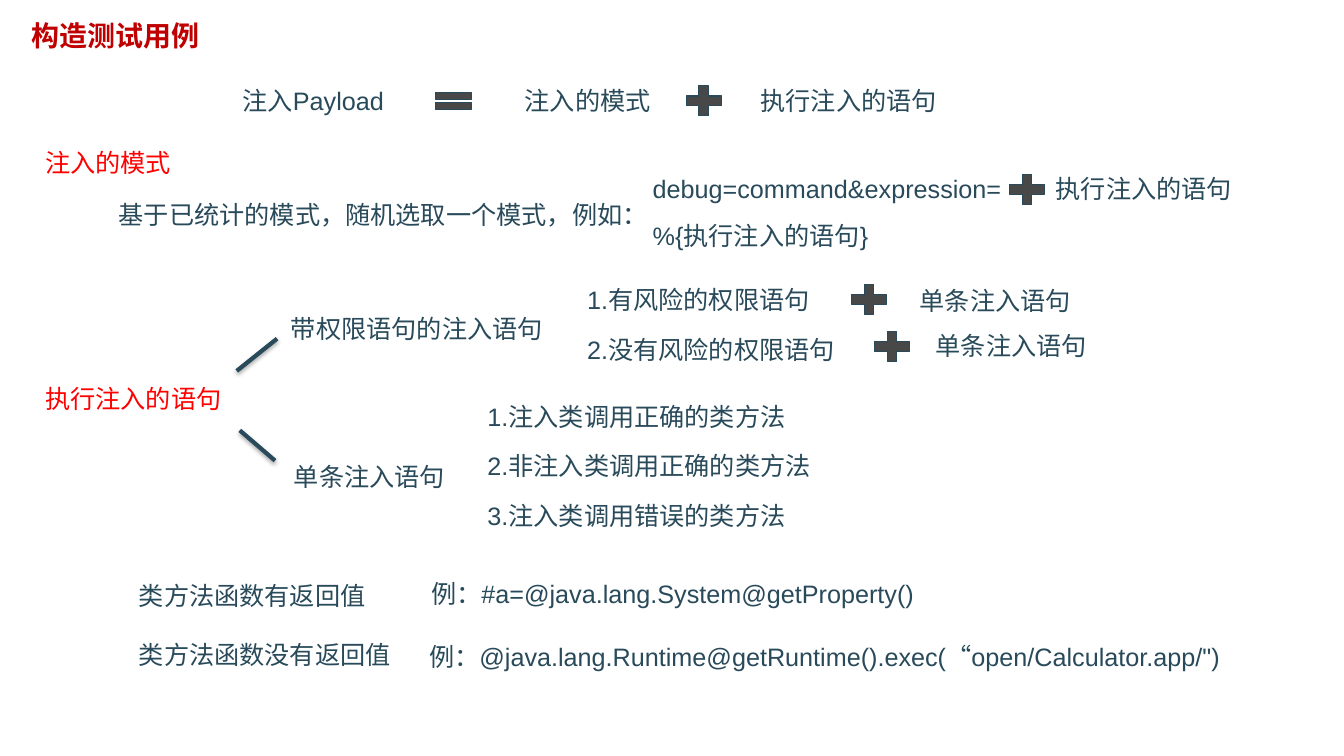
import pptx
import pptx.util
import pptx.dml.color
import pptx.enum.shapes
import pptx.enum.text
import pptx.oxml
import pptx.oxml.ns
from dataclasses import dataclass

SHAPE = pptx.enum.shapes.MSO_SHAPE


@dataclass(frozen=True)
class Theme:
    title: str = "C00000"
    heading: str = "FF0000"
    ink: str = "294A5A"
    sign: str = "484849"
    title_font: str = "Cambria"
    body_font: str = "Arial"
    title_size: int = 20
    body_size: int = 18
    outline: float = 0.75
    branch: int = 3


T = Theme()
CELL = 0.1  # grid cell in inches; all positions are columns and rows
COLS, ROWS = 133.4, 75
LINE_H = 4  # rows taken by one line of body text
INJECT_MODE = "注入的模式"
EXEC_STATEMENT = "执行注入的语句"
SINGLE_STATEMENT = "单条注入语句"


def grid(n):
    return pptx.util.Inches(n * CELL)


def rgb(value):
    return pptx.dml.color.RGBColor.from_string(value)


def label(s, text, col, row, width, color=T.ink, size=T.body_size,
          font=T.body_font, bold=False, height=LINE_H):
    tf = s.shapes.add_textbox(grid(col), grid(row), grid(width), grid(height)).text_frame
    tf.word_wrap = True
    tf.auto_size = pptx.enum.text.MSO_AUTO_SIZE.SHAPE_TO_FIT_TEXT
    r = tf.paragraphs[0].add_run()
    r.text = text
    r.font.name, r.font.size, r.font.bold = font, pptx.util.Pt(size), bold
    r.font.color.rgb = rgb(color)


def numbered(s, items, col, row, width, pitch):
    for i, item in enumerate(items):
        label(s, f"{i + 1}.{item}", col, row + i * pitch, width)


def sign(s, kind, col, row, width=4.7, height=LINE_H):
    sp = s.shapes.add_shape(kind, grid(col), grid(row), grid(width), grid(height))
    sp.shadow.inherit = False
    sp.fill.solid()
    sp.fill.fore_color.rgb = rgb(T.sign)
    sp.line.color.rgb = rgb(T.ink)
    sp.line.width = pptx.util.Pt(T.outline)


def branch(s, start, end):
    c = s.shapes.add_connector(pptx.enum.shapes.MSO_CONNECTOR.STRAIGHT,
                               *map(grid, start + end))
    c.line.color.rgb = rgb(T.ink)
    c.line.width = pptx.util.Pt(T.branch)
    # Soft shadow straight below the line
    c._element.spPr.append(pptx.oxml.parse_xml(
        f'<a:effectLst {pptx.oxml.ns.nsdecls("a")}>'
        '<a:outerShdw blurRad="40000" dist="23000" dir="5400000" rotWithShape="0">'
        '<a:srgbClr val="000000"><a:alpha val="35000"/></a:srgbClr>'
        '</a:outerShdw></a:effectLst>'))


def payload_formula(s):
    label(s, "注入Payload", 23.1, 8, 17.3)
    sign(s, SHAPE.MATH_EQUAL, 42.6, 8.6, 4.8, 2.8)
    label(s, INJECT_MODE, 51.1, 8, 17.3)
    sign(s, SHAPE.MATH_PLUS, 67.5, 8)
    label(s, EXEC_STATEMENT, 74.5, 8, 24.3)


def injection_mode(s):
    label(s, INJECT_MODE, 3.5, 14.1, 17.3, T.heading)
    label(s, "基于已统计的模式，随机选取一个模式，例如：", 10.8, 19.3, 81.1)
    label(s, "debug=command&expression=", 63.8, 16.7, 41.7)
    sign(s, SHAPE.MATH_PLUS, 99.6, 16.8)
    label(s, EXEC_STATEMENT, 103.8, 16.7, 24.3)
    label(s, "%{" + EXEC_STATEMENT + "}", 63.8, 21.4, 41.7)


def executed_statement(s):
    label(s, EXEC_STATEMENT, 3.5, 37.5, 19.8, T.heading)
    branch(s, (27.5, 33.6), (23.5, 36.8))
    branch(s, (23.8, 42.7), (27.3, 45.7))

    # Statements with a permission part
    label(s, "带权限语句的注入语句", 27.9, 30.6, 30.7)
    numbered(s, ("有风险的权限语句", "没有风险的权限语句"), 57.3, 27.7, 41.7, 5)
    for plus_col, plus_row, col, row in ((83.9, 27.7, 90.3, 27.8),
                                         (86.2, 32.4, 91.9, 32.3)):
        sign(s, SHAPE.MATH_PLUS, plus_col, plus_row)
        label(s, SINGLE_STATEMENT, col, row, 21.4)

    # Single statements
    label(s, SINGLE_STATEMENT, 28.2, 45.3, 21.4)
    numbered(s, ("注入类调用正确的类方法", "非注入类调用正确的类方法",
                 "注入类调用错误的类方法"), 47.4, 39.3, 36.2, 4.9)


def return_value_examples(s):
    label(s, "类方法函数有返回值", 12.8, 57.1, 27.6)
    label(s, "例：#a=@java.lang.System@getProperty()", 41.8, 56.9, 50.9)
    label(s, "类方法函数没有返回值", 12.8, 62.9, 27.6)
    label(s, '例：@java.lang.Runtime@getRuntime().exec(“open/Calculator.app/")',
          41.6, 63.1, 84.5)


def main():
    prs = pptx.Presentation()
    prs.slide_width, prs.slide_height = grid(COLS), grid(ROWS)
    s = prs.slides.add_slide(prs.slide_layouts[6])
    label(s, "构造测试用例", 2.1, 1.3, 42.6, T.title, T.title_size,
          T.title_font, True, 4.4)
    payload_formula(s)
    injection_mode(s)
    executed_statement(s)
    return_value_examples(s)
    prs.save("out.pptx")


main()
